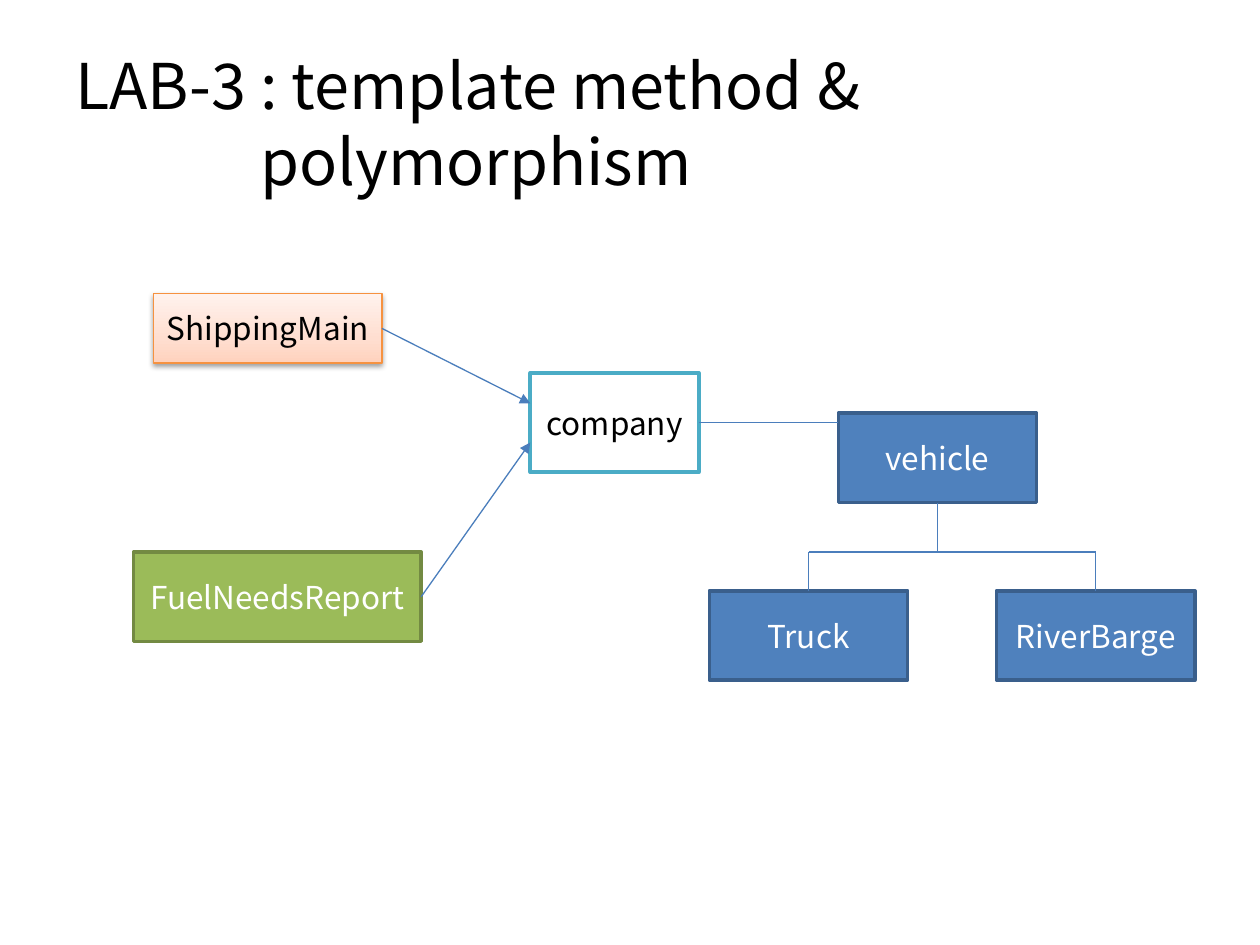
from copy import deepcopy
from dataclasses import dataclass

from lxml.etree import SubElement
from pptx import Presentation
from pptx.dml.color import RGBColor
from pptx.enum.shapes import MSO_CONNECTOR as Line, MSO_SHAPE as Shape
from pptx.enum.text import MSO_ANCHOR as Anchor, PP_ALIGN as Align
from pptx.oxml.ns import qn
from pptx.util import Cm, Pt


@dataclass(frozen=True)
class Theme:
    font: str = "Noto Sans CJK KR"
    title_size: float = 36
    title_leading: float = 43.5
    box_size: float = 18
    box_line: float = 2
    thin_line: float = 0.75
    black: str = "000000"
    white: str = "FFFFFF"
    blue: str = "4F81BD"
    dark_blue: str = "3A5F8C"
    link: str = "4B7EBC"
    aqua: str = "4BACC6"
    green: str = "9BBB59"
    dark_green: str = "738A42"
    orange: str = "F69240"
    peach: tuple = ((0, "FFD2BD"), (0.35, "FFDED0"), (1, "FFF2ED"))


def rgb(color):
    return RGBColor.from_string(color)


def write(tf, text, *, font, size, color, align=Align.LEFT, wrap=True):
    tf.word_wrap = wrap
    tf.vertical_anchor = Anchor.MIDDLE
    p = tf.paragraphs[0]
    p.text = text
    p.alignment = align
    for r in p.runs:
        r.font.name = font
        r.font.size = Pt(size)
        r.font.color.rgb = rgb(color)
    return p


@dataclass(frozen=True)
class Box:
    """Rectangle in centimetres."""
    left: float
    top: float
    width: float
    height: float

    @property
    def right(self):
        return self.left + self.width

    @property
    def bottom(self):
        return self.top + self.height

    @property
    def center(self):
        return self.left + self.width / 2

    @property
    def middle(self):
        return self.top + self.height / 2

    def lengths(self):
        return Cm(self.left), Cm(self.top), Cm(self.width), Cm(self.height)


class Diagram:
    def __init__(self, slide, theme):
        self.slide = slide
        self.theme = theme

    def title(self, text, box, hanging):
        """Title whose lines after the first are indented by `hanging` cm."""
        t = self.theme
        tf = self.slide.shapes.add_textbox(*box.lengths()).text_frame
        p = write(tf, text, font=t.font, size=t.title_size, color=t.black)
        p.line_spacing = Pt(t.title_leading)
        tf.margin_top = Cm(0.33)
        pPr = p._p.get_or_add_pPr()
        pPr.set("marL", str(Cm(hanging)))
        pPr.set("indent", str(-Cm(hanging)))

    def node(self, text, box, fill, line, color, width=None):
        t = self.theme
        s = self.slide.shapes.add_shape(Shape.RECTANGLE, *box.lengths())
        s.shadow.inherit = False
        if isinstance(fill, str):
            s.fill.solid()
            s.fill.fore_color.rgb = rgb(fill)
        else:
            self.gradient(s, fill)
        s.line.color.rgb = rgb(line)
        s.line.width = Pt(width or t.box_line)
        write(s.text_frame, text, font=t.font, size=t.box_size, color=color,
              align=Align.CENTER, wrap=False)
        return s

    def gradient(self, s, stops):
        """Fill upwards through the given (position, colour) stops."""
        s.fill.gradient()
        s.fill.gradient_angle = 90
        stop_list = s._element.spPr.find(".//" + qn("a:gsLst"))
        stop_list.insert(1, deepcopy(stop_list[0]))
        for stop, (position, color) in zip(s.fill.gradient_stops, stops):
            stop.position = position
            stop.color.rgb = rgb(color)

    def drop_shadow(self, s):
        effects = s._element.spPr.find(qn("a:effectLst"))
        shadow = SubElement(effects, qn("a:outerShdw"), blurRad=str(Pt(3.1)),
                            dist=str(Pt(1.6)), dir="5400000", rotWithShape="0")
        color = SubElement(shadow, qn("a:srgbClr"), val=self.theme.black)
        SubElement(color, qn("a:alpha"), val="38000")

    def link(self, start, end, arrow=False):
        t = self.theme
        s = self.slide.shapes.add_connector(
            Line.STRAIGHT, *(Cm(v) for v in (*start, *end)))
        s.line.color.rgb = rgb(t.link)
        s.line.width = Pt(t.thin_line)
        if arrow:
            SubElement(s.line._get_or_add_ln(), qn("a:tailEnd"), type="triangle")
        SubElement(s._element.spPr, qn("a:effectLst"))


def main():
    prs = Presentation()
    prs.slide_width, prs.slide_height = Cm(25.4), Cm(19.05)
    t = Theme()
    d = Diagram(prs.slides.add_slide(prs.slide_layouts[6]), t)

    d.title("LAB-3 : template method &\vpolymorphism",
            Box(1.27, 0.76, 22.86, 3.18), hanging=3.73)

    vehicle = Box(16.9, 8.33, 4, 1.8)
    truck = Box(14.3, 11.91, 4, 1.8)
    barge = Box(20.09, 11.91, 4, 1.8)
    company = Box(10.69, 7.52, 3.4, 2)
    shipping = Box(3.1, 5.92, 4.6, 1.4)
    report = Box(2.69, 11.13, 5.8, 1.8)

    for text, box in (("vehicle", vehicle), ("Truck", truck), ("RiverBarge", barge)):
        d.node(text, box, t.blue, t.dark_blue, t.white)

    rail = 11.13
    d.link((vehicle.center, vehicle.bottom), (vehicle.center, rail))
    d.link((truck.center, rail), (barge.center, rail))
    for child in (truck, barge):
        d.link((child.center, rail), (child.center, child.top))

    d.node("company", company, t.white, t.aqua, t.black)
    d.link((company.right, company.middle), (vehicle.left, company.middle))
    d.drop_shadow(d.node("ShippingMain", shipping, t.peach, t.orange, t.black,
                         width=t.thin_line))
    d.node("FuelNeedsReport", report, t.green, t.dark_green, t.white)
    for caller, y in ((shipping, 8.13), (report, 8.92)):
        d.link((caller.right, caller.middle), (company.left, y), arrow=True)

    prs.save("out.pptx")


if __name__ == "__main__":
    main()
